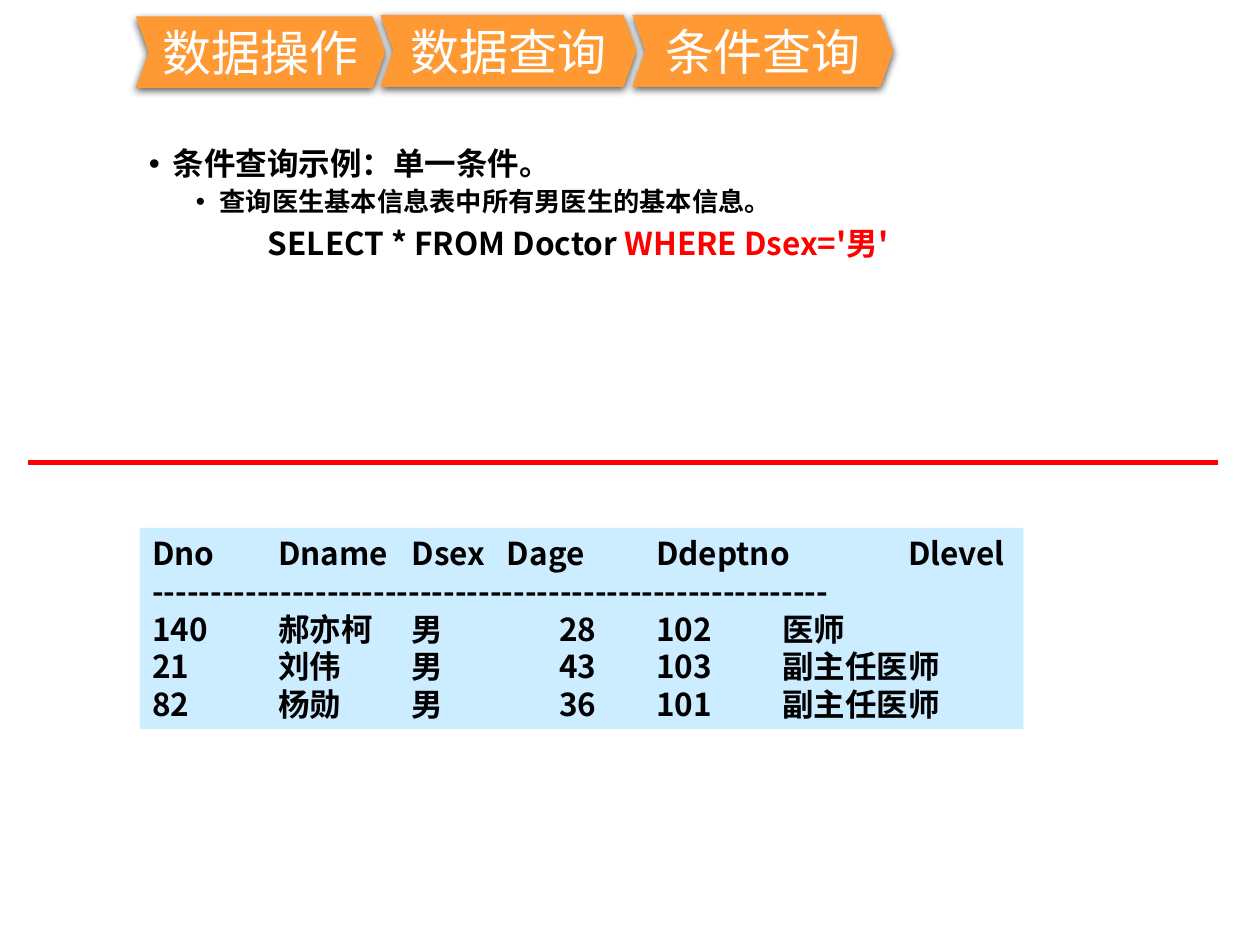
from dataclasses import dataclass

from lxml import etree
from pptx import Presentation, util as u
from pptx.dml.color import RGBColor
from pptx.enum import shapes, text
from pptx.oxml import ns

Cm, Pt = u.Cm, u.Pt


@dataclass(frozen=True)
class Theme:
    font: str = "Noto Sans CJK SC"
    ink: str = "000000"
    white: str = "FFFFFF"
    orange: str = "FF9933"
    red: str = "FF0000"
    pale_blue: str = "CCECFF"
    crumb_size: float = 28
    main_size: float = 18
    sub_size: float = 15


T = Theme()


def add_xml(parent, tag, **attrs):
    return etree.SubElement(parent, ns.qn(tag), {k: str(v) for k, v in attrs.items()})


def add_run(p, words, size, color=T.ink, bold=True):
    r = p.add_run()
    r.text = words
    r.font.name = T.font
    r.font.size = Pt(size)
    r.font.bold = bold
    r.font.color.rgb = RGBColor.from_string(color)
    add_xml(r.font._element, "a:ea", typeface=T.font)


def add_filled(s, kind, box, color):
    sp = s.shapes.add_shape(kind, *map(Cm, box))
    sp.shadow.inherit = False
    sp.fill.solid()
    sp.fill.fore_color.rgb = RGBColor.from_string(color)
    sp.line.fill.background()
    sp.text_frame.vertical_anchor = text.MSO_ANCHOR.MIDDLE
    return sp


def paragraphs(tf, items):
    """Pair each item with a paragraph, using the first one already there."""
    for i, item in enumerate(items):
        yield (tf.add_paragraph() if i else tf.paragraphs[0]), item


def add_crumb(s, box, words):
    sp = add_filled(s, shapes.MSO_SHAPE.CHEVRON, box, T.orange)
    sp.adjustments[0] = 0.178
    effects = sp._element.spPr.find(ns.qn("a:effectLst"))
    shadow = add_xml(effects, "a:outerShdw", blurRad=Pt(4.5), dist=Pt(1.5),
                     dir=90 * 60000, rotWithShape=0)
    add_xml(add_xml(shadow, "a:srgbClr", val=T.ink), "a:alpha", val=63000)
    tf = sp.text_frame
    tf.word_wrap = False
    p = tf.paragraphs[0]
    p.alignment = text.PP_ALIGN.CENTER
    add_run(p, words, T.crumb_size, T.white, bold=False)


def add_example(s, box):
    tf = s.shapes.add_textbox(*map(Cm, box)).text_frame
    tf.word_wrap = True
    # left indent in cm, bullet, space before, size, coloured runs
    items = [
        (1.43, True, 0, T.main_size, [("条件查询示例：单一条件。", T.ink)]),
        (2.38, True, 3.8, T.sub_size,
         [("查询医生基本信息表中所有男医生的基本信息。", T.ink)]),
        (3.35, False, 6, T.main_size,
         [("SELECT * FROM Doctor ", T.ink), ("WHERE Dsex='男'", T.red)]),
    ]
    for p, (indent, bullet, before, size, runs) in paragraphs(tf, items):
        pPr = p._p.get_or_add_pPr()
        pPr.set("marL", str(Cm(indent)))
        if bullet:
            pPr.set("indent", str(Cm(-0.48)))
            add_xml(pPr, "a:buFont", typeface="Arial")
            add_xml(pPr, "a:buChar", char="•")
        p.line_spacing = 0.9
        p.space_before = Pt(before)
        for words, color in runs:
            add_run(p, words, size, color)


def add_divider(s, left, right, y):
    line = s.shapes.add_connector(shapes.MSO_CONNECTOR.STRAIGHT,
                                  Cm(left), Cm(y), Cm(right), Cm(y))
    line.line.color.rgb = RGBColor.from_string(T.red)
    line.line.width = Pt(3)
    add_xml(line._element.spPr, "a:effectLst")


def add_result(s, box):
    """Query output as tabbed console lines; header and data have their own stops."""
    tf = add_filled(s, shapes.MSO_SHAPE.RECTANGLE, box, T.pale_blue).text_frame
    tf.word_wrap = True
    head_stops = (2.54, 5.23, 7.15, 10.16, 15.24)
    data_stops = (2.54, 5.23, 8.2, 10.16, 12.7)
    lines = [
        (("Dno", "Dname", "Dsex", "Dage", "Ddeptno", "Dlevel"), head_stops),
        (("-" * 58,), ()),
        (("140", "郝亦柯", "男", "28", "102", "医师"), data_stops),
        (("21", "刘伟", "男", "43", "103", "副主任医师"), data_stops),
        (("82", "杨勋", "男", "36", "101", "副主任医师"), data_stops),
    ]
    for p, (cells, stops) in paragraphs(tf, lines):
        p.alignment = text.PP_ALIGN.LEFT
        if stops:
            tabs = add_xml(p._p.get_or_add_pPr(), "a:tabLst")
            for stop in stops:
                add_xml(tabs, "a:tab", pos=Cm(stop), algn="l")
        add_run(p, "\t".join(cells), T.main_size)


def main():
    prs = Presentation()
    prs.slide_width, prs.slide_height = Cm(25.4), Cm(19.05)
    s = prs.slides.add_slide(prs.slide_layouts[6])
    add_example(s, (1.8, 2.87, 23.6, 14.96))
    for words, left, top, width in (("数据操作", 2.74, 0.33, 5.03),
                                    ("数据查询", 7.67, 0.3, 5.16),
                                    ("条件查询", 12.75, 0.3, 5.26)):
        add_crumb(s, (left, top, width, 1.45), words)
    add_result(s, (2.82, 10.64, 17.81, 4.06))
    add_divider(s, 0.56, 24.56, 9.32)
    prs.save("out.pptx")


if __name__ == "__main__":
    main()
